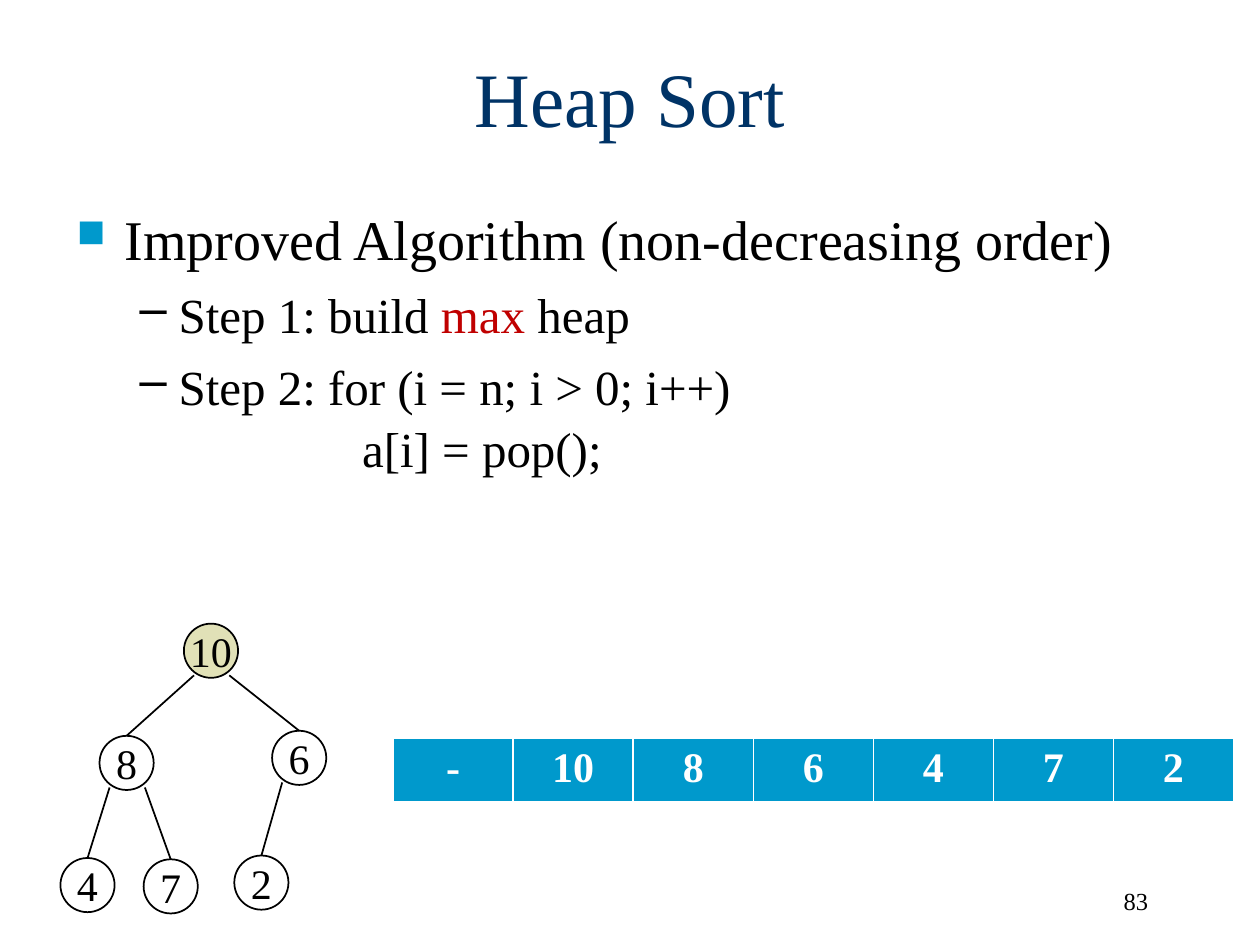
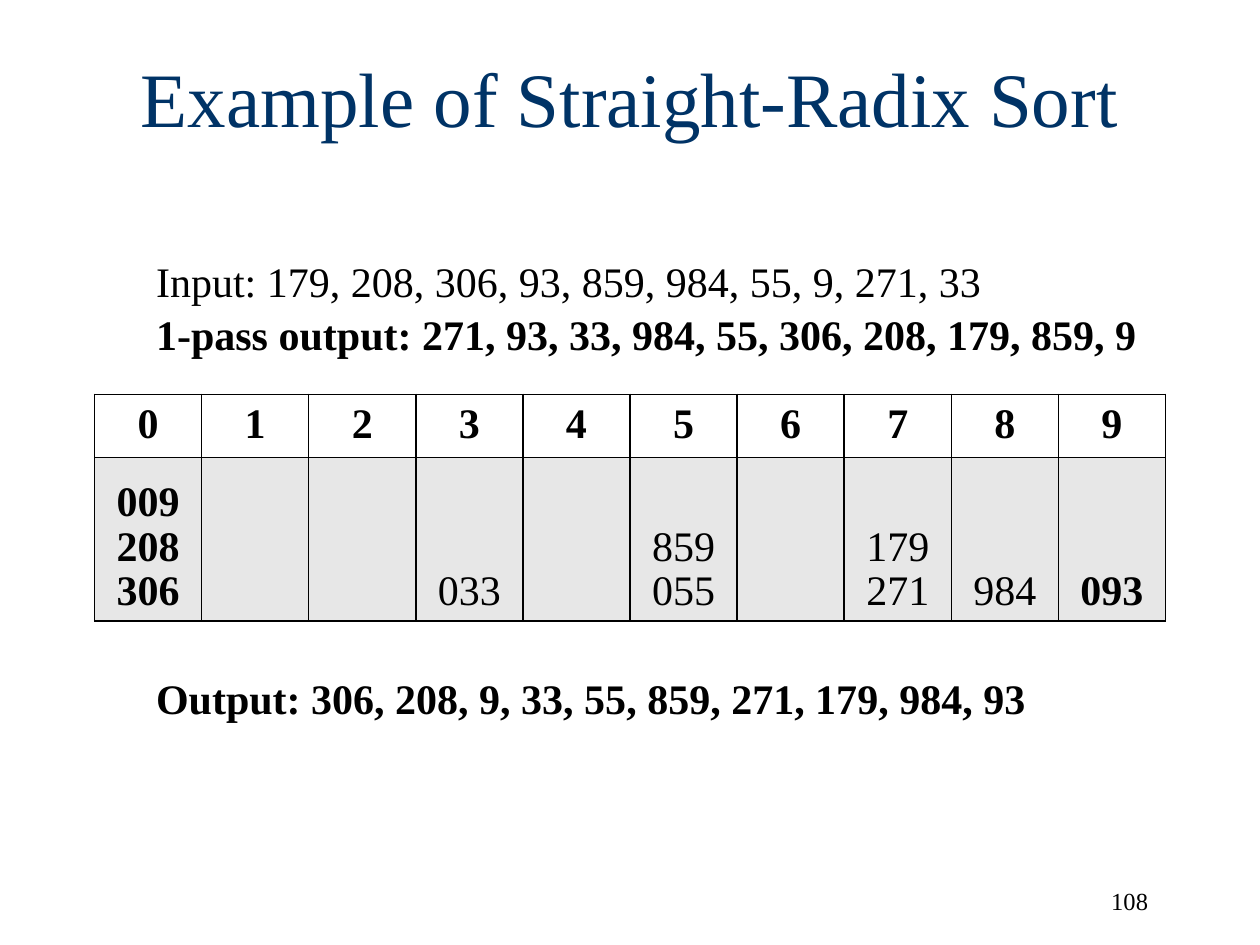
from lxml import etree
from pptx import Presentation
from pptx.dml.color import RGBColor
from pptx.enum import shapes, text
from pptx.oxml import ns
from pptx.util import Inches, Pt

FONT = "Times New Roman"
NAVY, BLUE, RED = "003366", "0099CC", "C00000"
BLACK, WHITE, GREY, KHAKI = "000000", "FFFFFF", "E7E7E7", "E1E1B7"
LEFT, CENTER, RIGHT = text.PP_ALIGN.LEFT, text.PP_ALIGN.CENTER, text.PP_ALIGN.RIGHT
MIDDLE = text.MSO_ANCHOR.MIDDLE
hex_color = RGBColor.from_string


def write(frame, lines, size=24, color=BLACK, bold=False, align=LEFT):
    """Fill a text frame with one paragraph per line, all in one style."""
    frame.text = "\n".join(lines)
    for paragraph in frame.paragraphs:
        paragraph.alignment = align
        paragraph.font.name = FONT
        paragraph.font.size = Pt(size)
        paragraph.font.bold = bold
        paragraph.font.color.rgb = hex_color(color)


def add_grid(slide, left, top, column_width, row_heights, columns, border):
    """Add a table without banding whose cells all have the same border."""
    grid = slide.shapes.add_table(
        len(row_heights), columns, Inches(left), Inches(top),
        Inches(column_width * columns), Inches(sum(row_heights))).table
    grid.first_row = grid.horz_banding = False
    for column in grid.columns:
        column.width = Inches(column_width)
    for row, height in zip(grid.rows, row_heights):
        row.height = Inches(height)
    for cell in grid.iter_cells():
        properties = cell._tc.get_or_add_tcPr()
        for side in ("a:lnL", "a:lnR", "a:lnT", "a:lnB"):
            line = etree.SubElement(properties, ns.qn(side), w=str(Pt(1)))
            fill = etree.SubElement(line, ns.qn("a:solidFill"))
            etree.SubElement(fill, ns.qn("a:srgbClr"), val=border)
    return grid


prs = Presentation()
prs.slide_width, prs.slide_height = Inches(10), Inches(7.5)

# Shared title and page number
slides = []
for title, page in (("Heap Sort", "83"), ("Example of Straight-Radix Sort", "108")):
    slide = prs.slides.add_slide(prs.slide_layouts[6])
    slides.append(slide)
    heading = slide.shapes.add_textbox(
        Inches(0.75), Inches(0.14), Inches(8.5), Inches(1.25)).text_frame
    heading.word_wrap = True
    heading.vertical_anchor = MIDDLE
    write(heading, [title], size=44, color=NAVY, align=CENTER)
    number = slide.shapes.add_textbox(
        Inches(7.13), Inches(6.98), Inches(2.08), Inches(0.5)).text_frame
    number.word_wrap = True
    write(number, [page], size=14, align=RIGHT)
heap_slide, radix_slide = slides

# Heap sort: algorithm steps
steps = heap_slide.shapes.add_textbox(
    Inches(0.51), Inches(1.55), Inches(8.97), Inches(4.02)).text_frame
steps.word_wrap = True
# level, text size, left margin, hanging indent, bullet, runs
outline = [
    (0, 32, 0.38, 0.38, "■", ["Improved Algorithm (non-decreasing order)"]),
    (1, 28, 0.81, 0.31, "–", ["Step 1: build ", "max", " heap"]),
    (1, 28, 0.81, 0.31, "–",
     ["Step 2: for (i = n; i > 0; i++)\v               a[i] = pop();"]),
]
for index, (level, size, margin, hanging, bullet, runs) in enumerate(outline):
    paragraph = steps.add_paragraph() if index else steps.paragraphs[0]
    paragraph.level = level
    paragraph.line_spacing = 1.05
    if index:
        paragraph.space_before = Pt(size * 0.2)
    properties = paragraph._p.get_or_add_pPr()
    properties.set("marL", str(Inches(margin)))
    properties.set("indent", str(-Inches(hanging)))
    if level == 0:
        bullet_color = etree.SubElement(properties, ns.qn("a:buClr"))
        etree.SubElement(bullet_color, ns.qn("a:srgbClr"), val=BLUE)
        etree.SubElement(properties, ns.qn("a:buSzPct"), val="70000")
    etree.SubElement(properties, ns.qn("a:buChar"), char=bullet)
    paragraph.font.name = FONT
    paragraph.font.size = Pt(size)
    paragraph.font.color.rgb = hex_color(BLACK)
    if len(runs) == 1:
        paragraph.text = runs[0]
        continue
    for words in runs:
        run = paragraph.add_run()
        run.text = words
        if words == "max":
            run.font.color.rgb = hex_color(RED)

# Heap sort: tree, node value -> left, top
NODE_SIZE = 0.43
heap = {"10": (1.46, 4.95), "8": (0.79, 5.84), "6": (2.16, 5.8),
        "4": (0.48, 6.81), "7": (1.14, 6.82), "2": (1.86, 6.79)}
nodes = {}
for value, (left, top) in heap.items():
    node = heap_slide.shapes.add_shape(
        shapes.MSO_SHAPE.OVAL, Inches(left), Inches(top),
        Inches(NODE_SIZE), Inches(NODE_SIZE))
    node.shadow.inherit = False
    if value == "10":
        node.fill.solid()
        node.fill.fore_color.rgb = hex_color(KHAKI)
    else:
        node.fill.background()
    node.line.color.rgb = hex_color(BLACK)
    node.line.width = Pt(1)
    node.text_frame.word_wrap = False
    node.text_frame.vertical_anchor = MIDDLE
    write(node.text_frame, [value], align=CENTER)
    nodes[value] = node

# Each edge leaves the lower left or lower right of the parent
LEFT_FOOT, RIGHT_FOOT, FOOT_DROP = 0.08, 0.36, 0.41
for parent, child, foot in (("10", "8", LEFT_FOOT), ("10", "6", RIGHT_FOOT),
                            ("8", "4", LEFT_FOOT), ("8", "7", RIGHT_FOOT),
                            ("6", "2", LEFT_FOOT)):
    left, top = heap[parent]
    edge = heap_slide.shapes.add_connector(
        shapes.MSO_CONNECTOR.STRAIGHT, Inches(left + foot), Inches(top + FOOT_DROP),
        Inches(heap[child][0] + NODE_SIZE / 2), Inches(heap[child][1]))
    edge.end_connect(nodes[child], 0)
    edge.line.color.rgb = hex_color(BLACK)
    edge.line.width = Pt(1)
    etree.SubElement(edge._element.spPr, ns.qn("a:effectLst"))

# Heap sort: the heap stored as an array
array_values = ["-", *heap]
array = add_grid(heap_slide, 3.12, 5.86, 6.67 / 7, [0.48], len(array_values), WHITE)
for cell, value in zip(array.iter_cells(), array_values):
    cell.fill.solid()
    cell.fill.fore_color.rgb = hex_color(BLUE)
    write(cell.text_frame, [value], color=WHITE, bold=True, align=CENTER)

# Radix sort: input and output of the pass
for top, width, bold, sequence in (
        (1.98, 6.81, False, "Input: 179, 208, 306, 93, 859, 984, 55, 9, 271, 33"),
        (2.4, 8.06, True, "1-pass output: 271, 93, 33, 984, 55, 306, 208, 179, 859, 9"),
        (5.29, 7.34, True, "Output: 306, 208, 9, 33, 55, 859, 271, 179, 984, 93")):
    listing = radix_slide.shapes.add_textbox(
        Inches(1.14), Inches(top), Inches(width), Inches(0.51)).text_frame
    listing.word_wrap = False
    write(listing, [sequence], bold=bold)

# Radix sort: one bucket per digit
buckets = {0: ["009", "208", "306"], 3: ["033"], 5: ["859", "055"],
           7: ["179", "271"], 8: ["984"], 9: ["093"]}
BOLD_BUCKETS = (0, 9)
bucket_grid = add_grid(radix_slide, 0.75, 3.13, 0.85, [0.5, 1.3], 10, BLACK)
for digit in range(10):
    header, bucket = bucket_grid.cell(0, digit), bucket_grid.cell(1, digit)
    for cell, fill in ((header, WHITE), (bucket, GREY)):
        cell.fill.solid()
        cell.fill.fore_color.rgb = hex_color(fill)
    write(header.text_frame, [str(digit)], bold=True, align=CENTER)
    if digit in buckets:
        bucket.vertical_anchor = text.MSO_ANCHOR.BOTTOM
        write(bucket.text_frame, buckets[digit], bold=digit in BOLD_BUCKETS, align=CENTER)
        for paragraph in bucket.text_frame.paragraphs:
            paragraph.line_spacing = 0.96

prs.save("out.pptx")
